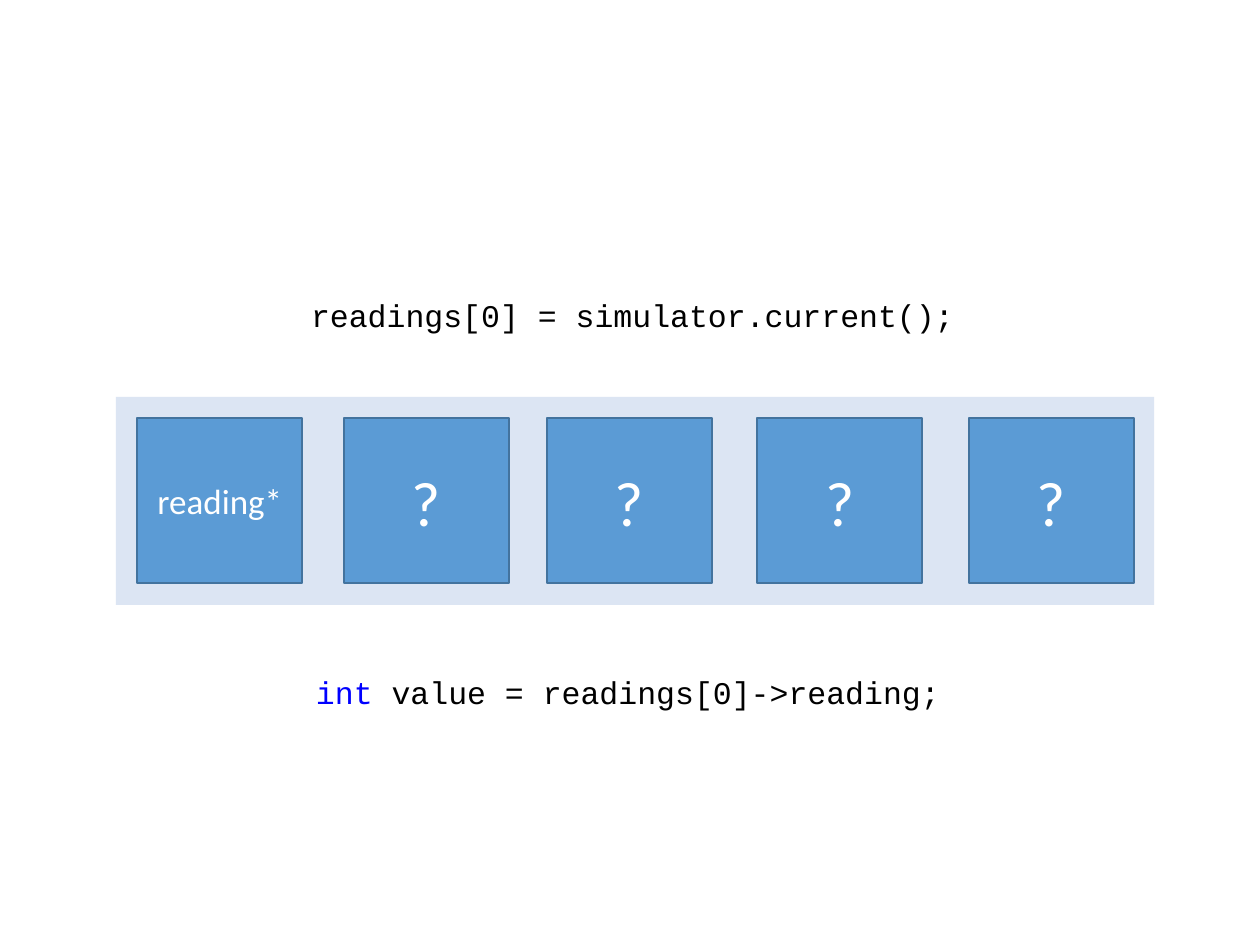
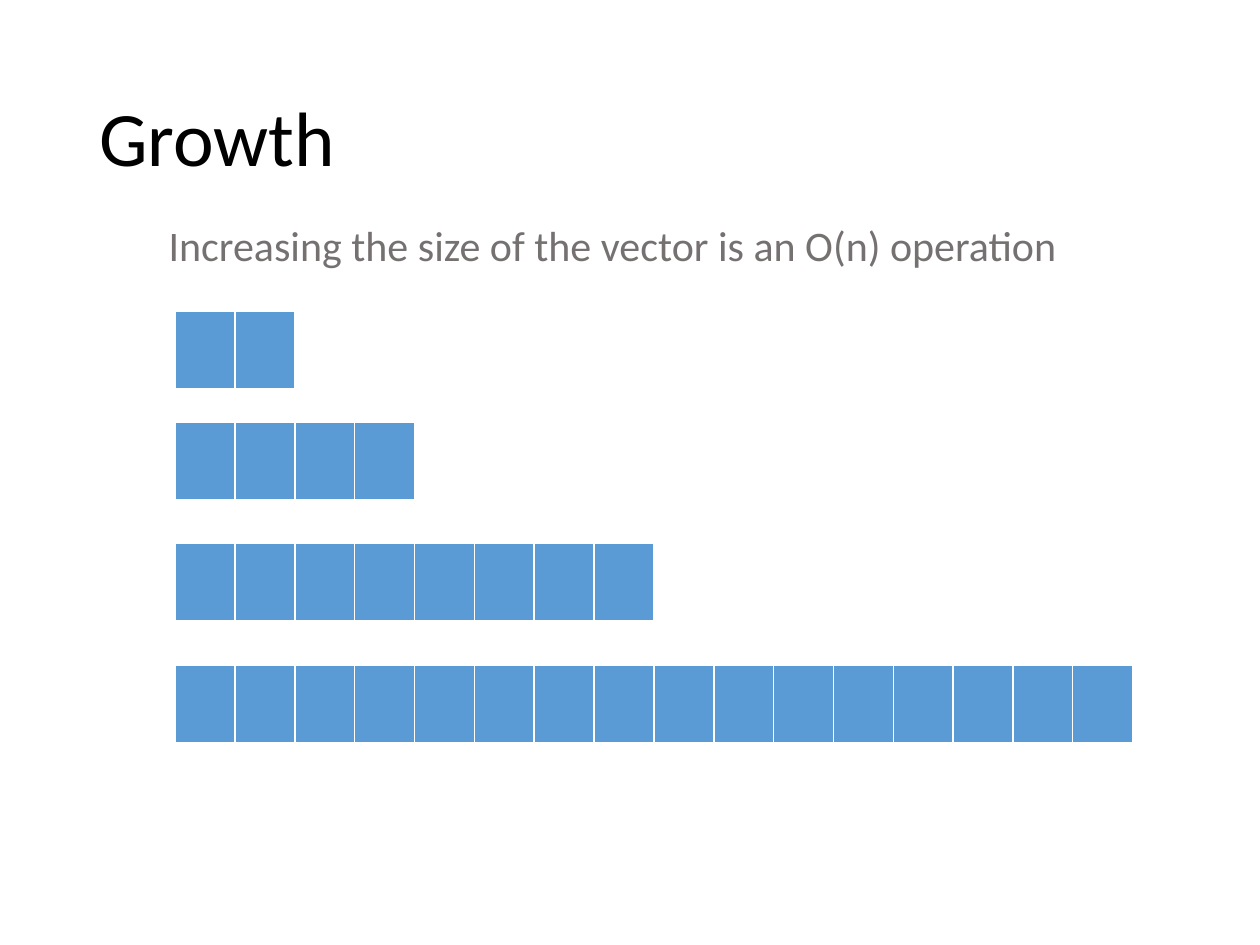
from lxml.etree import SubElement
from pptx import Presentation
from pptx.dml.color import RGBColor
from pptx.enum.shapes import MSO_SHAPE
from pptx.enum.text import MSO_ANCHOR, PP_ALIGN
from pptx.oxml.ns import qn
from pptx.util import Inches, Pt

COLORS = {
    "text": "000000",
    "keyword": "0000FF",
    "subtitle": "767171",
    "block": "5B9BD5",
    "outline": "43739E",
    "band": "DAE3F3",
    "white": "FFFFFF",
}
BODY_FONT = "Calibri"
CODE_FONT = "Courier New"
SLIDE_WIDTH, SLIDE_HEIGHT = 10, 7.5


def color(name):
    return RGBColor.from_string(COLORS[name])


def add_text(page, place, pieces, size, font, spacing=1.0, anchor=MSO_ANCHOR.TOP):
    box = page.shapes.add_textbox(*map(Inches, place))
    box.text_frame.word_wrap = True
    box.text_frame.vertical_anchor = anchor
    para = box.text_frame.paragraphs[0]
    para.line_spacing = spacing
    for text, shade in pieces:
        span = para.add_run()
        span.text = text
        span.font.name = font
        span.font.size = Pt(size)
        span.font.color.rgb = color(shade)


deck = Presentation()
deck.slide_width = Inches(SLIDE_WIDTH)
deck.slide_height = Inches(SLIDE_HEIGHT)
blank = deck.slide_layouts[6]

page = deck.slides.add_slide(blank)
add_text(page, (2.37, 2.28, 5.35, 0.43),
         [("readings[0] = simulator.current();", "text")], 18, CODE_FONT, 1.07)

band_left, band_top, band_width, band_height = 0.92, 3.15, 8.24, 1.65
band = page.shapes.add_shape(
    MSO_SHAPE.RECTANGLE, *map(Inches, (band_left, band_top, band_width, band_height)))
band.shadow.inherit = False
band.fill.solid()
band.fill.fore_color.rgb = color("band")
band.line.fill.background()
band_color = band.fill._xPr.find(qn("a:solidFill"))[0]
SubElement(band_color, qn("a:alpha")).set("val", "92000")

slot_size = 1.31
slot_top = band_top + (band_height - slot_size) / 2
slots = [(1.09, "reading*", 20)] + [(left, "?", 36) for left in (2.73, 4.34, 6.01, 7.69)]
for left, label, size in slots:
    slot = page.shapes.add_shape(
        MSO_SHAPE.RECTANGLE, *map(Inches, (left, slot_top, slot_size, slot_size)))
    slot.shadow.inherit = False
    slot.fill.solid()
    slot.fill.fore_color.rgb = color("block")
    slot.line.color.rgb = color("outline")
    slot.line.width = Pt(1)
    slot.text_frame.text = label
    slot.text_frame.vertical_anchor = MSO_ANCHOR.MIDDLE
    para = slot.text_frame.paragraphs[0]
    para.alignment = PP_ALIGN.CENTER
    span = para.runs[0]
    span.font.name = BODY_FONT
    span.font.size = Pt(size)
    span.font.color.rgb = color("white")

add_text(page, (2.41, 5.27, 5.17, 0.43),
         [("int", "keyword"), (" value = readings[0]->reading;", "text")],
         18, CODE_FONT, 1.07)

page = deck.slides.add_slide(blank)
add_text(page, (0.69, 0.4, 8.62, 1.45), [("Growth", "text")],
         44, BODY_FONT, 0.9, MSO_ANCHOR.MIDDLE)
add_text(page, (1.24, 1.69, 7.53, 0.5),
         [("Increasing the size of the vector is an O(n) operation", "subtitle")],
         24, BODY_FONT)

vector_left = 1.39
cell_width, cell_height = 7.6 / 16, 0.63
borders = {"a:lnL": 1, "a:lnR": 1, "a:lnT": 1, "a:lnB": 3}
vectors = [(0, 2.47, 2), (0, 3.35, 4), (0, 4.31, 8), (0, 5.28, 8), (8, 5.28, 8)]
for first_cell, top, count in vectors:
    place = (vector_left + first_cell * cell_width, top, count * cell_width, cell_height)
    table = page.shapes.add_table(1, count, *map(Inches, place)).table
    for column in table.columns:
        column.width = Inches(cell_width)
    for cell in table.iter_cells():
        properties = cell._tc.get_or_add_tcPr()
        for edge, points in borders.items():
            line = SubElement(properties, qn(edge), w=str(Pt(points)))
            fill = SubElement(line, qn("a:solidFill"))
            SubElement(fill, qn("a:srgbClr"), val=COLORS["white"])
        cell.fill.solid()
        cell.fill.fore_color.rgb = color("block")

deck.save("out.pptx")
